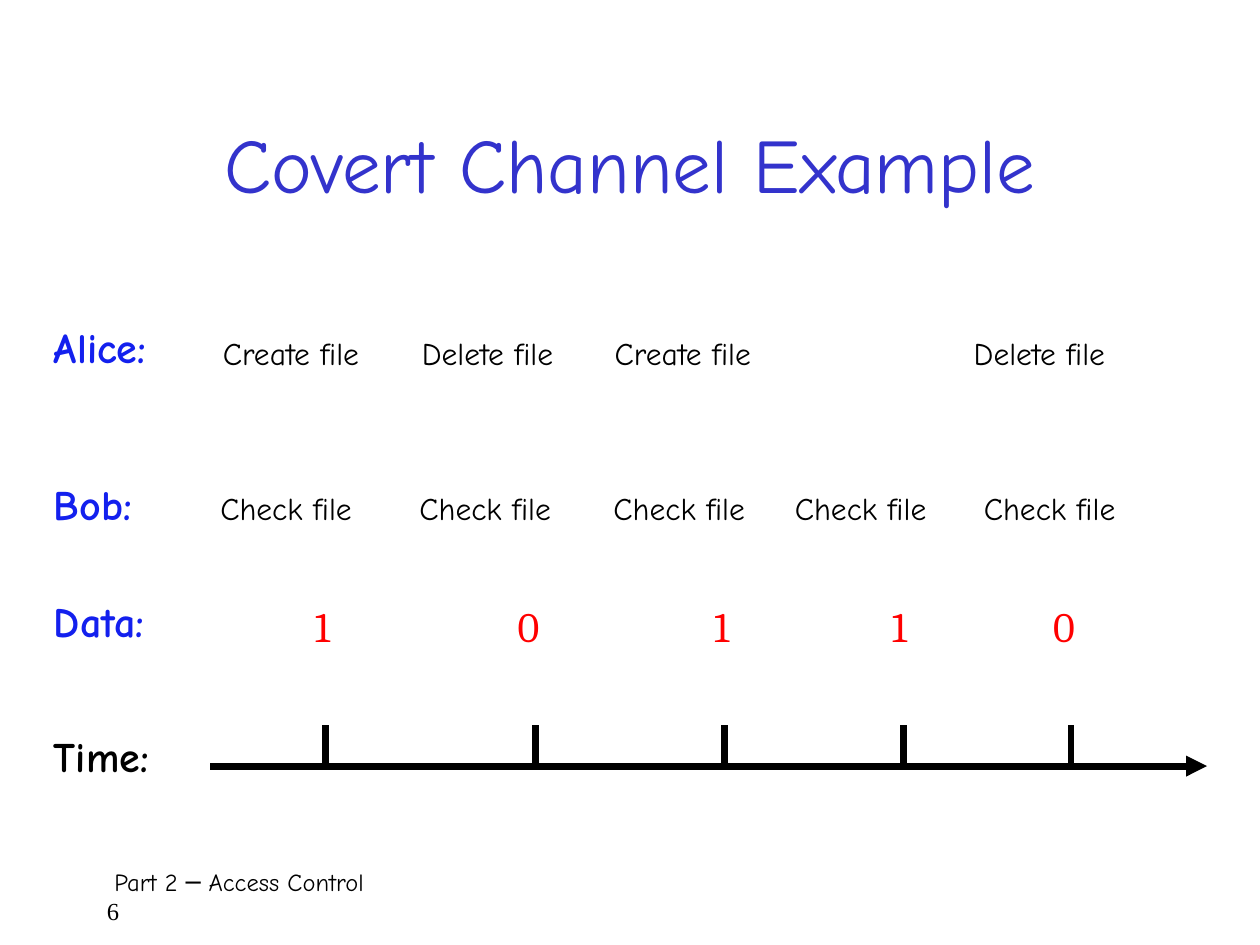
from dataclasses import dataclass
from pptx import Presentation
from pptx.dml.color import RGBColor as RGB
from pptx.enum.shapes import MSO_CONNECTOR as LINE
from pptx.enum.text import MSO_ANCHOR as ANCHOR, MSO_AUTO_SIZE as FIT, PP_ALIGN as ALIGN
from pptx.oxml.ns import qn
from pptx.util import Inches, Pt
from lxml import etree


@dataclass
class Theme:
    font: str = "Comic Neue"
    digit: str = "Cambria"
    serif: str = "Times New Roman"
    black: str = "000000"
    title: str = "3333CC"
    blue: str = "1320EE"
    red: str = "FF0000"
    head: int = 44
    label: int = 24
    step: int = 18
    foot: int = 14
    line: int = 4


theme = Theme()


def write(para, text, size, color, font=theme.font, bold=False):
    run = para.add_run()
    run.text = text
    run.font.name, run.font.size, run.font.bold = font, Pt(size), bold
    run.font.color.rgb = RGB.from_string(color)


def draw(x1, y1, x2, y2):
    line = slide.shapes.add_connector(
        LINE.STRAIGHT, Inches(x1), Inches(y1), Inches(x2), Inches(y2))
    line.line.width = Pt(theme.line)
    line.line.color.rgb = RGB.from_string(theme.black)
    etree.SubElement(line._element.spPr, qn("a:effectLst"))
    return line


deck = Presentation()
deck.slide_width, deck.slide_height = Inches(10), Inches(7.5)
slide = deck.slides.add_slide(deck.slide_layouts[5])

# Title
title = slide.shapes.title
title.left, title.top = Inches(0.75), Inches(0.67)
title.width, title.height = Inches(8.5), Inches(1.25)
title.text_frame.vertical_anchor = ANCHOR.MIDDLE
para = title.text_frame.paragraphs[0]
para.alignment = ALIGN.CENTER
write(para, "Covert Channel Example", theme.head, theme.title)

# Rows of text: top, height, type style, then left, width and wording of each item
label = (theme.label, theme.blue, theme.font, True)
clock = (theme.label, theme.black, theme.font, True)
step = (theme.step, theme.black)
digit = (theme.label, theme.red, theme.digit)
checks = [(x, 1.37, "Check file") for x in (1.65, 3.23, 4.77, 6.21, 7.71)]
bits = [(x, 0.39, bit) for x, bit in zip((2.4, 4.01, 5.57, 6.98, 8.26), "10110")]
rows = [
    (2.5, 0.57, label, [(0.33, 1.13, "Alice:")]),
    (2.6, 0.45, step, [(1.67, 1.47, "Create file"), (3.25, 1.46, "Delete file"),
                       (4.78, 1.47, "Create file"), (7.63, 1.46, "Delete file")]),
    (3.75, 0.57, label, [(0.33, 0.93, "Bob:")]),
    (3.83, 0.45, step, checks),
    (4.68, 0.57, label, [(0.33, 1.11, "Data:")]),
    (4.72, 0.5, digit, bits),
    (5.75, 0.57, clock, [(0.33, 1.12, "Time:")]),
]
for top, height, style, items in rows:
    for left, width, text in items:
        box = slide.shapes.add_textbox(
            Inches(left), Inches(top), Inches(width), Inches(height))
        box.text_frame.word_wrap = False
        box.text_frame.auto_size = FIT.SHAPE_TO_FIT_TEXT
        write(box.text_frame.paragraphs[0], text, *style)

# Time axis with its ticks
base = 6.08
axis = draw(1.67, base, 9.58, base)
etree.SubElement(axis.line._get_or_add_ln(), qn("a:tailEnd"), type="triangle")
for x in (2.58, 4.25, 5.75, 7.17, 8.5):
    draw(x, base, x, 5.75)

# Footer, first line slightly indented, page number below
foot = slide.shapes.add_textbox(Inches(0.75), Inches(6.83), Inches(8.58), Inches(0.5))
foot.text_frame.word_wrap = True
para = foot.text_frame.paragraphs[0]
para._p.get_or_add_pPr().set("indent", str(Inches(0.06)))
write(para, "Part 2 ─ Access Control", theme.foot, theme.black)
para.add_line_break()
write(para, "6", theme.foot, theme.black, theme.serif)

deck.save("out.pptx")
